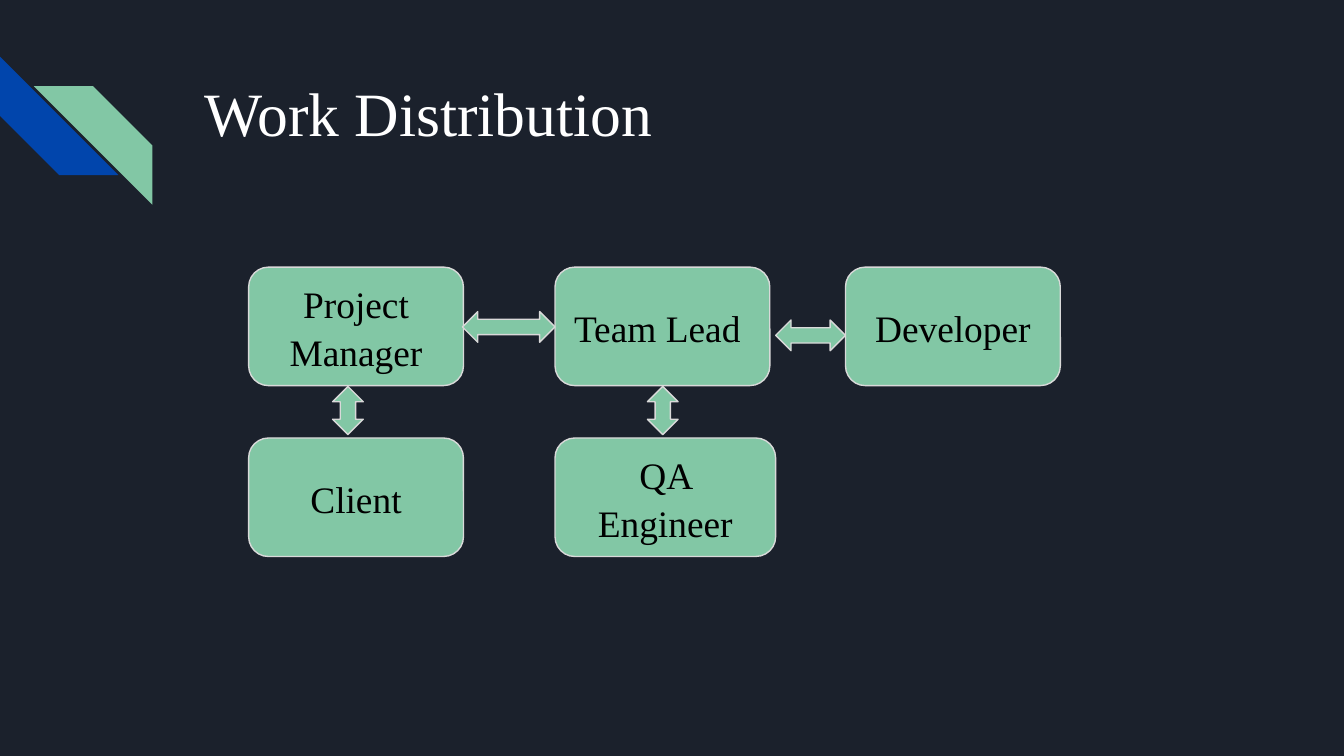
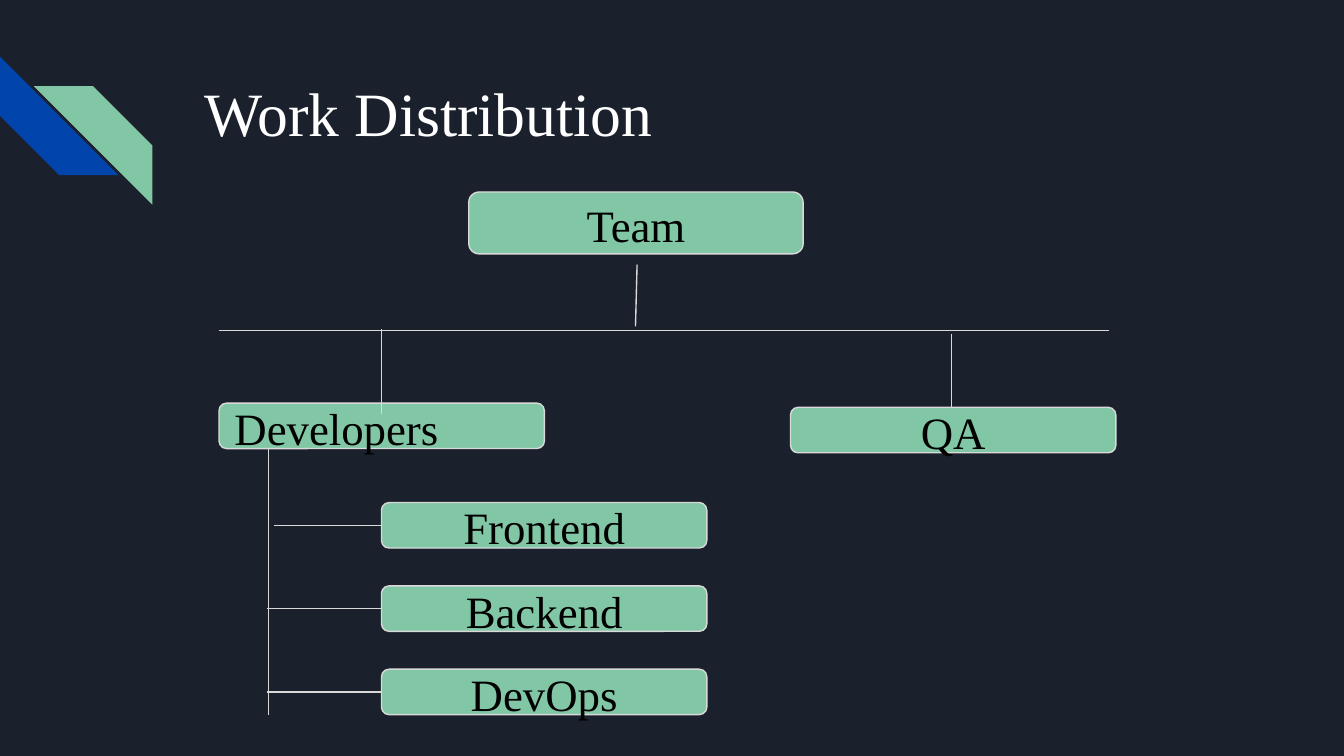
from dataclasses import dataclass

from lxml import etree
from pptx import Presentation
from pptx import util as u
from pptx.dml.color import RGBColor
from pptx.enum import shapes, text
from pptx.oxml.ns import qn
from pptx.shapes.autoshape import Shape
from pptx.slide import Slide
from pptx.text.text import TextFrame

FONT = "Times New Roman"
NAVY, BLUE, GREEN = "1B212C", "0145AC", "82C7A5"
LINE_GREY, WHITE, BLACK = "D9D9D9", "FFFFFF", "000000"
LINE_WIDTH = u.Pt(0.75)
INSET = u.Cm(0.25)
LEFT, CENTER = text.PP_ALIGN.LEFT, text.PP_ALIGN.CENTER


@dataclass(frozen=True)
class Box:
    label: str
    left: float
    top: float
    width: float
    height: float
    align: text.PP_ALIGN = CENTER


@dataclass(frozen=True)
class Arrow:
    left: float
    top: float
    length: float
    rotation: int = 0


@dataclass(frozen=True)
class Line:
    x1: float
    y1: float
    x2: float
    y2: float


@dataclass(frozen=True)
class Stripe:
    left: float
    top: float
    color: str
    rotation: int


STRIPES = (Stripe(0, 1.07, BLUE, 270), Stripe(0.64, 1.63, GREEN, 90))
STRIPE_SIZE = 2.24
ARROW_THICKNESS = 0.58

ROLE_WIDTH, ROLE_HEIGHT = 4.06, 2.24
MANAGER_X, LEAD_X, DEVELOPER_X = 4.7, 10.49, 15.98
UPPER_Y, LOWER_Y = 5.05, 8.28
ROLES = (
    Box("Project Manager", MANAGER_X, UPPER_Y, ROLE_WIDTH, ROLE_HEIGHT),
    Box("Team Lead", LEAD_X, UPPER_Y, ROLE_WIDTH, ROLE_HEIGHT, LEFT),
    Box("Developer", DEVELOPER_X, UPPER_Y, ROLE_WIDTH, ROLE_HEIGHT),
    Box("QA Engineer", LEAD_X, LOWER_Y, 4.17, ROLE_HEIGHT),
    Box("Client", MANAGER_X, LOWER_Y, ROLE_WIDTH, ROLE_HEIGHT),
)
ROLE_ARROWS = (
    Arrow(8.74, 5.89, 1.75),
    Arrow(14.66, 6.05, 1.32),
    Arrow(12.07, 7.47, 0.91, 90),
    Arrow(6.12, 7.47, 0.91, 90),
)

TEAM_WIDTH, TEAM_HEIGHT = 6.15, 0.86
DEVELOPERS_X, SKILL_X = 4.14, 7.21
SKILL_TOP, SKILL_PITCH = 9.5, 1.575
SKILLS = tuple(
    Box(label, SKILL_X, SKILL_TOP + index * SKILL_PITCH, TEAM_WIDTH, TEAM_HEIGHT)
    for index, label in enumerate(("Frontend", "Backend", "DevOps"))
)
TEAMS = (
    Box("Developers", DEVELOPERS_X, 7.62, TEAM_WIDTH, TEAM_HEIGHT, LEFT),
    Box("Team", 8.86, 3.63, 6.32, 1.17),
    Box("QA", 14.94, 7.7, TEAM_WIDTH, TEAM_HEIGHT),
)
TRUNK_LINES = (
    Line(5.08, 8.46, 5.08, 13.51),
    Line(12.04, 5, 12.01, 6.17),
    Line(DEVELOPERS_X, 6.25, 20.96, 6.25),
)
DROP_LINES = (
    Line(SKILL_X, 6.22, SKILL_X, 7.82),
    Line(17.98, 6.32, 17.98, 7.7),
)
SKILL_LINES = tuple(
    Line(start, skill.top + skill.height / 2, skill.left, skill.top + skill.height / 2)
    for start, skill in zip((5.18, 5.05, 5.05), SKILLS)
)


def rgb(color: str) -> RGBColor:
    return RGBColor.from_string(color)


def write_text(frame: TextFrame, content: str, size: int, color: str,
               align: text.PP_ALIGN, anchor: text.MSO_ANCHOR) -> None:
    frame.text = content
    frame.word_wrap = True
    frame.auto_size = text.MSO_AUTO_SIZE.NONE
    frame.vertical_anchor = anchor
    frame.margin_left = frame.margin_right = INSET
    frame.margin_top = frame.margin_bottom = INSET
    paragraph = frame.paragraphs[0]
    paragraph.alignment = align
    paragraph.line_spacing = 1.06
    paragraph.font.name = FONT
    paragraph.font.size = u.Pt(size)
    paragraph.font.color.rgb = rgb(color)


def add_filled(slide: Slide, kind: shapes.MSO_SHAPE, left: float, top: float,
               width: float, height: float, color: str = GREEN,
               outlined: bool = True) -> Shape:
    shape = slide.shapes.add_shape(kind, u.Cm(left), u.Cm(top), u.Cm(width), u.Cm(height))
    shape.shadow.inherit = False
    shape.fill.solid()
    shape.fill.fore_color.rgb = rgb(color)
    if outlined:
        shape.line.color.rgb = rgb(LINE_GREY)
        shape.line.width = LINE_WIDTH
    else:
        shape.line.fill.background()
    return shape


def add_box(slide: Slide, box: Box, size: int) -> None:
    shape = add_filled(slide, shapes.MSO_SHAPE.ROUNDED_RECTANGLE,
                       box.left, box.top, box.width, box.height)
    write_text(shape.text_frame, box.label, size, BLACK, box.align, text.MSO_ANCHOR.MIDDLE)


def add_arrow(slide: Slide, arrow: Arrow) -> None:
    shape = add_filled(slide, shapes.MSO_SHAPE.LEFT_RIGHT_ARROW,
                       arrow.left, arrow.top, arrow.length, ARROW_THICKNESS)
    shape.rotation = arrow.rotation


def add_line(slide: Slide, line: Line) -> None:
    connector = slide.shapes.add_connector(
        shapes.MSO_CONNECTOR.STRAIGHT,
        u.Cm(line.x1), u.Cm(line.y1), u.Cm(line.x2), u.Cm(line.y2))
    connector.line.color.rgb = rgb(LINE_GREY)
    connector.line.width = LINE_WIDTH
    etree.SubElement(connector._element.spPr, qn("a:effectLst"))


def add_titled_slide(presentation: Presentation, title: str) -> Slide:
    slide = presentation.slides.add_slide(presentation.slide_layouts[5])
    for stripe in STRIPES:
        shape = add_filled(slide, shapes.MSO_SHAPE.DIAGONAL_STRIPE, stripe.left, stripe.top,
                           STRIPE_SIZE, STRIPE_SIZE, stripe.color, outlined=False)
        shape.rotation = stripe.rotation
    placeholder = slide.shapes.title
    placeholder.left, placeholder.top = u.Cm(3.61), u.Cm(1.09)
    placeholder.width, placeholder.height = u.Cm(19.56), u.Cm(2.54)
    write_text(placeholder.text_frame, title, 33, WHITE, LEFT, text.MSO_ANCHOR.TOP)
    return slide


def add_roles_slide(presentation: Presentation) -> None:
    slide = add_titled_slide(presentation, "Work Distribution")
    for role in ROLES:
        add_box(slide, role, 20)
    for arrow in ROLE_ARROWS:
        add_arrow(slide, arrow)


def add_team_slide(presentation: Presentation) -> None:
    slide = add_titled_slide(presentation, "Work Distribution")
    for line in TRUNK_LINES:
        add_line(slide, line)
    for team in TEAMS:
        add_box(slide, team, 24)
    for line in DROP_LINES:
        add_line(slide, line)
    for skill in SKILLS:
        add_box(slide, skill, 24)
    for line in SKILL_LINES:
        add_line(slide, line)


def main() -> None:
    """Build the two work distribution slides and save them."""
    presentation = Presentation()
    presentation.slide_width, presentation.slide_height = u.Cm(25.4), u.Cm(14.29)
    background = presentation.slide_master.background.fill
    background.solid()
    background.fore_color.rgb = rgb(NAVY)
    add_roles_slide(presentation)
    add_team_slide(presentation)
    presentation.save("out.pptx")


if __name__ == "__main__":
    main()
